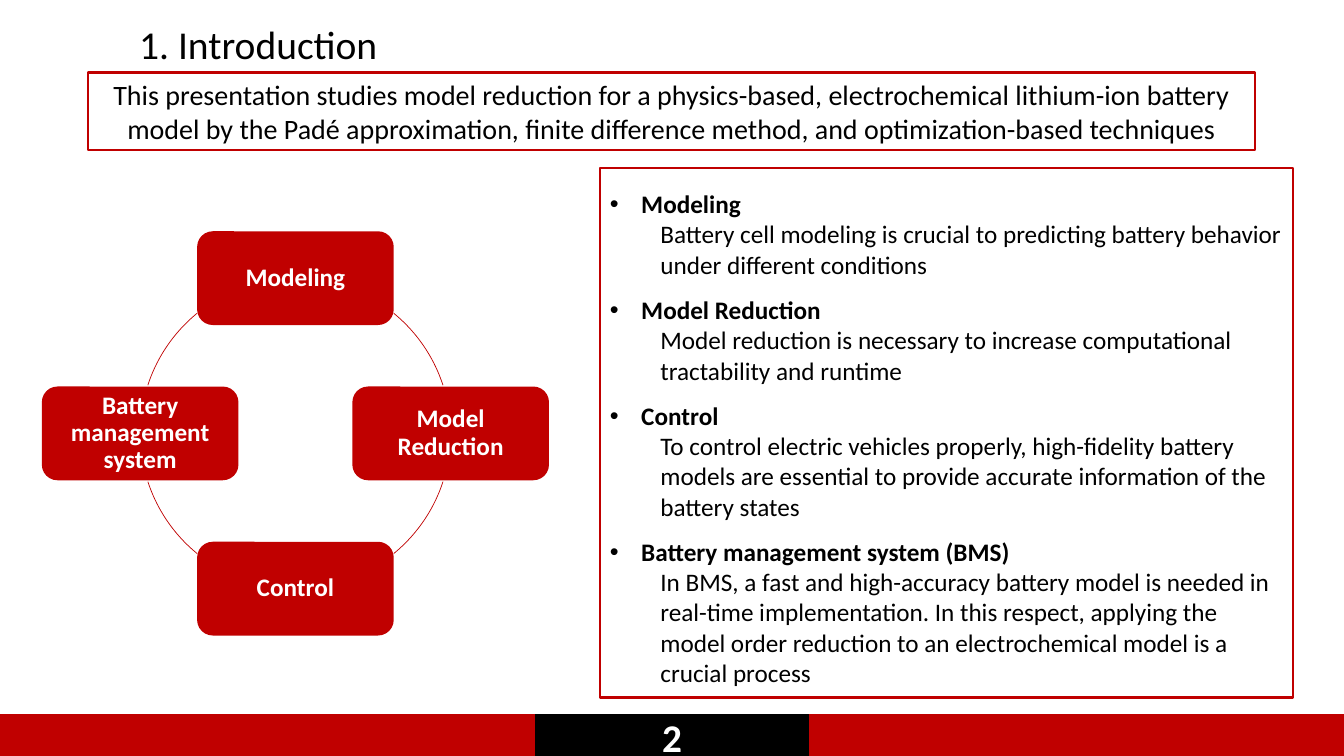
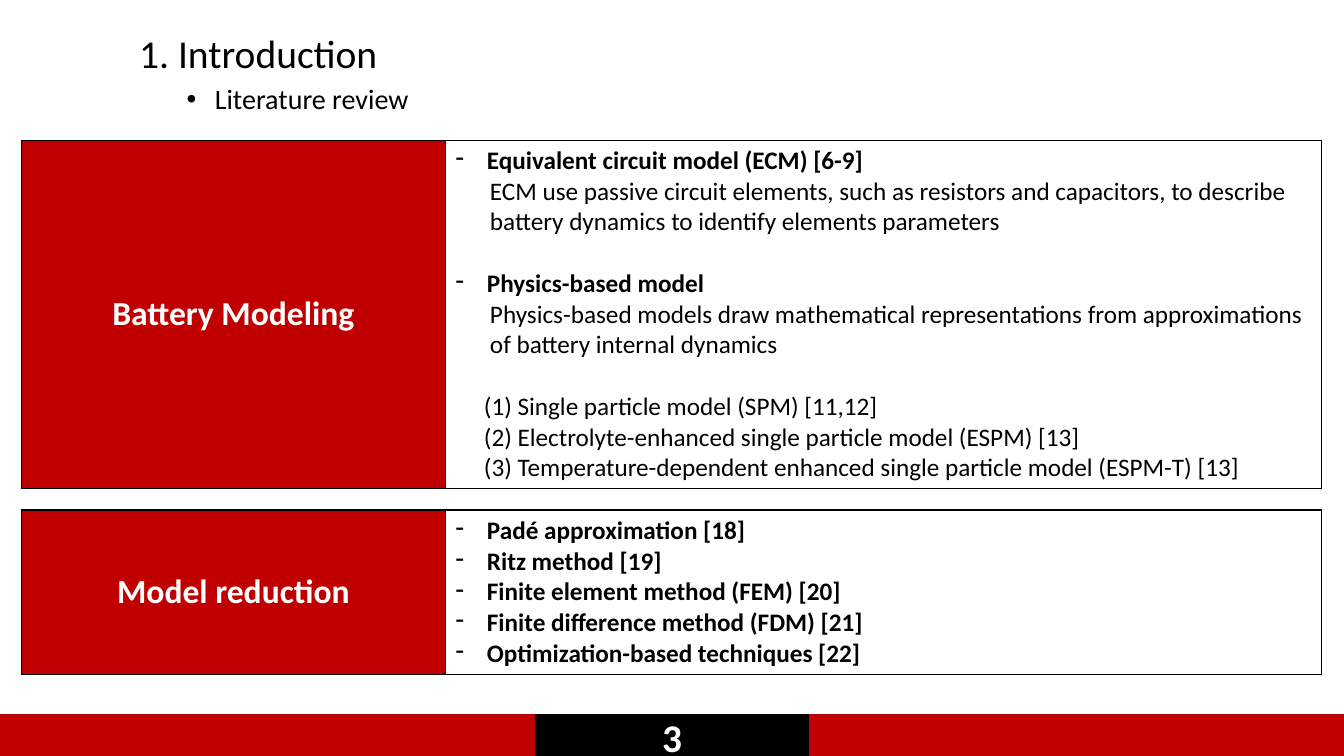
from dataclasses import dataclass
from math import cos, radians, sin

from lxml.etree import SubElement
from pptx import Presentation
from pptx.dml.color import RGBColor
from pptx.enum.shapes import MSO_SHAPE
from pptx.enum.text import MSO_ANCHOR, MSO_AUTO_SIZE, PP_ALIGN
from pptx.oxml import parse_xml
from pptx.oxml.ns import nsdecls, qn
from pptx.util import Emu, Pt

EMU_PER_PX = 9144
SLIDE_WIDTH, SLIDE_HEIGHT = 1333, 750


def px(length):
    return Emu(round(length * EMU_PER_PX))


@dataclass(frozen=True)
class Theme:
    font: str = "Calibri"
    red: str = "C00000"
    black: str = "000000"
    white: str = "FFFFFF"
    title_size: float = 28.2
    number_size: float = 28
    label_size: float = 24
    lead_size: float = 20
    text_size: float = 18


THEME = Theme()


@dataclass(frozen=True)
class Entry:
    text: str
    size: float = THEME.text_size
    bold: bool = False
    color: str = THEME.black
    align: PP_ALIGN = PP_ALIGN.LEFT
    bullet: str = ""
    left: int = 0
    hanging: int = 0
    level: int = 0
    spacing: float = 1.0
    before: float = 0


class Deck:
    def __init__(self, theme):
        self.theme = theme
        self.presentation = Presentation()
        self.presentation.slide_width = px(SLIDE_WIDTH)
        self.presentation.slide_height = px(SLIDE_HEIGHT)
        self.slide = None

    def set_text(self, frame, entries, anchor=MSO_ANCHOR.TOP, insets=(10, 5)):
        frame.word_wrap = True
        frame.auto_size = MSO_AUTO_SIZE.NONE
        frame.vertical_anchor = anchor
        frame.margin_left = frame.margin_right = px(insets[0])
        frame.margin_top = frame.margin_bottom = px(insets[1])
        self.fill_paragraphs(frame, entries)

    def fill_paragraphs(self, frame, entries):
        for index, entry in enumerate(entries):
            paragraph = frame.add_paragraph() if index else frame.paragraphs[0]
            paragraph.level = entry.level
            paragraph.alignment = entry.align
            paragraph.line_spacing = entry.spacing
            paragraph.space_before = Pt(entry.before)
            properties = paragraph._p.get_or_add_pPr()
            properties.set("marL", str(px(entry.left)))
            properties.set("indent", str(px(-entry.hanging)))
            if entry.bullet:
                SubElement(properties, qn("a:buChar")).set("char", entry.bullet)
            else:
                SubElement(properties, qn("a:buNone"))
            run = paragraph.add_run()
            run.text = entry.text
            run.font.name = self.theme.font
            run.font.size = Pt(entry.size)
            run.font.bold = entry.bold
            run.font.color.rgb = RGBColor.from_string(entry.color)

    def place(self, shape, left, top, width, height):
        shape.left, shape.top = px(left), px(top)
        shape.width, shape.height = px(width), px(height)

    def outline(self, shape, color, weight):
        if color:
            shape.line.color.rgb = RGBColor.from_string(color)
            shape.line.width = Pt(weight)
        else:
            shape.line.fill.background()

    def shape(self, kind, box, fill=None, line=None, weight=1.0):
        shape = self.slide.shapes.add_shape(kind, *map(px, box))
        shape.shadow.inherit = False
        if fill:
            shape.fill.solid()
            shape.fill.fore_color.rgb = RGBColor.from_string(fill)
        else:
            shape.fill.background()
        self.outline(shape, line, weight)
        return shape

    def start_slide(self, title, title_top, number):
        theme = self.theme
        self.slide = self.presentation.slides.add_slide(self.presentation.slide_layouts[1])
        self.place(self.slide.shapes.title, 129, title_top, 794, 110)
        self.set_text(self.slide.shapes.title.text_frame,
                      [Entry(title, theme.title_size, spacing=0.9)],
                      MSO_ANCHOR.MIDDLE, (9, 4))
        self.shape(MSO_SHAPE.RECTANGLE, (0, 709, SLIDE_WIDTH, 42), theme.red, theme.red)
        badge = self.shape(MSO_SHAPE.RECTANGLE, (531, 709, 271, 44), theme.black, theme.black)
        self.set_text(badge.text_frame,
                      [Entry(number, theme.number_size, True, theme.white, PP_ALIGN.CENTER)],
                      MSO_ANCHOR.MIDDLE)

    def body(self, box, entries, line=None):
        placeholder = self.slide.placeholders[1]
        self.place(placeholder, *box)
        self.outline(placeholder, line, 1.5)
        self.set_text(placeholder.text_frame, entries)

    def framed_text(self, box, text):
        frame = self.shape(MSO_SHAPE.RECTANGLE, box, line=self.theme.red, weight=1.5)
        self.set_text(frame.text_frame,
                      [Entry(text, self.theme.lead_size, align=PP_ALIGN.CENTER)])

    def cycle(self, center_x, center_y, radius, labels):
        theme = self.theme
        node_width, node_height = 195, 93
        sweep = 32.6
        circle = (center_x - radius, center_y - radius, 2 * radius, 2 * radius)
        for index, label in enumerate(labels):
            start = 90 * index + (39.3 if index % 2 else 18.1)
            arc = self.shape(MSO_SHAPE.ARC, circle, line=theme.red, weight=0.5)
            arc.adjustments[0] = start * 0.6
            arc.adjustments[1] = (start + sweep) * 0.6
            angle = radians(90 * index - 90)
            node = self.shape(MSO_SHAPE.ROUNDED_RECTANGLE, (
                center_x + radius * cos(angle) - node_width / 2,
                center_y + radius * sin(angle) - node_height / 2,
                node_width, node_height), theme.red)
            self.set_text(node.text_frame,
                          [Entry(label, bold=True, color=theme.white,
                                 align=PP_ALIGN.CENTER, spacing=0.9)],
                          MSO_ANCHOR.MIDDLE, (7, 7))

    def topic_table(self, top, height, label, entries):
        theme = self.theme
        widths = (421, 869)
        table = self.slide.shapes.add_table(
            1, 2, px(21), px(top), px(sum(widths)), px(height)).table
        table.first_row = table.horz_banding = False
        heading = Entry(label, theme.label_size, True, theme.white, PP_ALIGN.CENTER)
        columns = zip(widths, (theme.red, theme.white), ([heading], entries))
        for index, (width, fill, content) in enumerate(columns):
            table.columns[index].width = px(width)
            cell = table.cell(0, index)
            cell.vertical_anchor = MSO_ANCHOR.MIDDLE
            cell.fill.solid()
            cell.fill.fore_color.rgb = RGBColor.from_string(fill)
            self.fill_paragraphs(cell.text_frame, content)
            self.cell_borders(cell)

    def cell_borders(self, cell):
        properties = cell._tc.get_or_add_tcPr()
        for position, side in enumerate(("lnL", "lnR", "lnT", "lnB")):
            properties.insert(position, parse_xml(
                f'<a:{side} {nsdecls("a")} w="{Pt(1)}"><a:solidFill>'
                f'<a:srgbClr val="{self.theme.black}"/></a:solidFill></a:{side}>'))


def dash(text, before=0):
    return Entry(text, bold=True, bullet="-", left=31, hanging=31, before=before)


def detail(text):
    return Entry(text, left=34)


def model(text, before=0):
    return Entry(text, left=28, before=before)


def build_overview(deck):
    topics = (
        ("Modeling",
         "Battery cell modeling is crucial to predicting battery behavior under "
         "different conditions"),
        ("Model Reduction",
         "Model reduction is necessary to increase computational tractability and runtime"),
        ("Control",
         "To control electric vehicles properly, high-fidelity battery models are essential "
         "to provide accurate information of the battery states"),
        ("Battery management system (BMS)",
         "In BMS, a fast and high-accuracy battery model is needed in real-time "
         "implementation. In this respect, applying the model order reduction to an "
         "electrochemical model is a crucial process"),
    )
    entries = []
    for heading, explanation in topics:
        entries.append(Entry(heading, bold=True, bullet="•", left=31, hanging=31, spacing=1.5))
        entries.append(Entry(explanation, left=50, level=1))
    deck.start_slide("1. Introduction", -9, "2")
    deck.framed_text(
        (87, 72, 1158, 77),
        "This presentation studies model reduction for a physics-based, electrochemical "
        "lithium-ion battery model by the Padé approximation, finite difference method, "
        "and optimization-based techniques")
    deck.cycle(293, 430, 154,
               ("Modeling", "Model Reduction", "Control", "Battery management system"))
    deck.body((595, 167, 687, 525), entries, deck.theme.red)


def build_literature(deck):
    blank_line = 22
    deck.start_slide("1. Introduction", 0, "3")
    deck.body((175, 76, 701, 44),
              [Entry("Literature review", deck.theme.lead_size,
                     bullet="•", left=28, hanging=28)])
    deck.topic_table(139, 346, "Battery Modeling", [
        dash("Equivalent circuit model (ECM) [6-9]"),
        detail("ECM use passive circuit elements, such as resistors and capacitors, to "
               "describe battery dynamics to identify elements parameters"),
        dash("Physics-based model", blank_line),
        detail("Physics-based models draw mathematical representations from "
               "approximations of battery internal dynamics"),
        model("(1) Single particle model (SPM) [11,12]", blank_line),
        model("(2) Electrolyte-enhanced single particle model (ESPM) [13]"),
        model("(3) Temperature-dependent enhanced single particle model (ESPM-T) [13]"),
    ])
    deck.topic_table(506, 163, "Model reduction", [
        dash("Padé approximation [18]"),
        dash("Ritz method [19]"),
        dash("Finite element method (FEM) [20]"),
        dash("Finite difference method (FDM) [21]"),
        dash("Optimization-based techniques [22]"),
    ])


def main():
    deck = Deck(THEME)
    build_overview(deck)
    build_literature(deck)
    deck.presentation.save("out.pptx")


if __name__ == "__main__":
    main()
